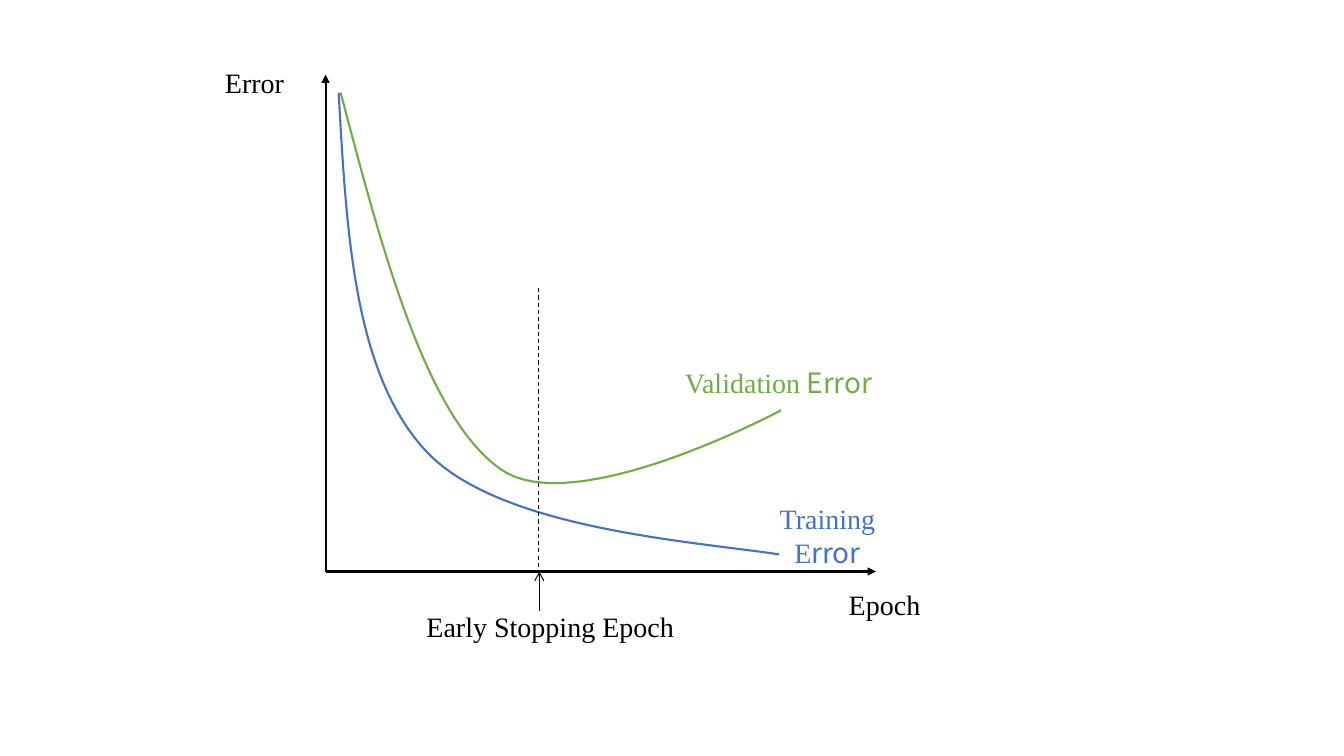
import dataclasses
import typing

import pptx
import pptx.dml.color
import pptx.enum.dml
import pptx.enum.shapes
import pptx.enum.text
import pptx.oxml.ns
import pptx.oxml.xmlchemy
import pptx.util

BLACK = pptx.dml.color.RGBColor(0x00, 0x00, 0x00)
BLUE = pptx.dml.color.RGBColor(0x44, 0x72, 0xC4)
GREEN = pptx.dml.color.RGBColor(0x70, 0xAD, 0x47)
SERIF = "Times New Roman"
SANS = "Noto Sans CJK SC"

# Grid of square cells, ten to the inch
COLS, ROWS = 133.33, 75
CELL = pptx.util.Inches(0.1)
STEPS = 32

Point = tuple[float, float]


def span(cells: float) -> int:
    return round(cells * CELL)


@dataclasses.dataclass
class Line:
    start: Point
    end: Point
    width: float
    head: str = ""
    dash: bool = False


@dataclasses.dataclass
class Curve:
    color: pptx.dml.color.RGBColor
    knots: list[Point]  # start, then two handles and an end per segment


@dataclasses.dataclass
class Label:
    left: float
    top: float
    width: float
    runs: list[tuple[str, str]]  # text and font
    color: pptx.dml.color.RGBColor = BLACK
    wrap: bool = False


ORIGIN = (32.3, 56.7)
AXES = [
    Line(ORIGIN, (86.9, 56.7), 1.5, "triangle"),
    Line(ORIGIN, (32.3, 7.4), 1.5, "triangle"),
]
CURVES = [
    Curve(BLUE, [(33.6, 9.2), (34.4, 23.2), (35.1, 37.2), (42.4, 44.9),
                 (49.7, 52.5), (68.7, 53.7), (77.3, 55)]),
    Curve(GREEN, [(33.8, 9.2), (38, 25.2), (42.3, 41.3), (49.6, 46.5),
                  (56.8, 51.8), (77.5, 40.7), (77.5, 40.7)]),
]
LABELS = [
    Label(83, 57.8, 9.5, [("Epoch", SERIF)]),
    Label(21.3, 6, 7.9, [("Error", SERIF)]),
    Label(73.1, 49.3, 18, [("Training E", SERIF), ("rror", SANS)], BLUE, True),
    Label(66.9, 35.8, 20.7, [("Validation", SERIF), (" Error", SANS)], GREEN),
]
STOP = Line((53.4, 28.6), (53.4, 56.7), 0.75, dash=True)
NOTE = Label(40.8, 60, 27.6, [("Early Stopping Epoch", SERIF)])
ARROW = Line((53.5, 60.6), (53.5, 56.7), 0.75, "arrow")


def draw_line(shapes: typing.Any, item: Line) -> None:
    link = shapes.add_connector(
        pptx.enum.shapes.MSO_CONNECTOR.STRAIGHT,
        *map(span, item.start + item.end))
    link.line.color.rgb = BLACK
    link.line.width = pptx.util.Pt(item.width)
    if item.dash:
        link.line.dash_style = pptx.enum.dml.MSO_LINE.DASH
    if item.head:
        tail = pptx.oxml.xmlchemy.OxmlElement("a:tailEnd")
        tail.set("type", item.head)
        link.get_or_add_ln().append(tail)
    props = link.element.find(pptx.oxml.ns.qn("p:spPr"))
    props.append(pptx.oxml.xmlchemy.OxmlElement("a:effectLst"))


def trace(knots: list[Point]) -> list[Point]:
    """Sample the cubic segments that run through the knots."""
    points = [knots[0]]
    for first in range(0, len(knots) - 1, 3):
        part = knots[first:first + 4]
        for step in range(1, STEPS + 1):
            t = step / STEPS
            s = 1 - t
            shares = (s ** 3, 3 * s * s * t, 3 * s * t * t, t ** 3)
            points.append((sum(k * p[0] for k, p in zip(shares, part)),
                           sum(k * p[1] for k, p in zip(shares, part))))
    return points


def draw_curve(shapes: typing.Any, item: Curve) -> None:
    points = [(span(x), span(y)) for x, y in trace(item.knots)]
    pen = shapes.build_freeform(*points[0])
    pen.add_line_segments(points[1:], close=False)
    shape = pen.convert_to_shape()
    shape.shadow.inherit = False
    shape.fill.background()
    shape.line.color.rgb = item.color
    shape.line.width = pptx.util.Pt(1.5)


def draw_label(shapes: typing.Any, item: Label) -> None:
    box = shapes.add_textbox(
        *map(span, (item.left, item.top, item.width, 4.4)))
    frame = box.text_frame
    frame.word_wrap = item.wrap
    frame.auto_size = pptx.enum.text.MSO_AUTO_SIZE.SHAPE_TO_FIT_TEXT
    para = frame.paragraphs[0]
    para.alignment = pptx.enum.text.PP_ALIGN.CENTER
    for text, font in item.runs:
        run = para.add_run()
        run.text = text
        run.font.name = font
        run.font.size = pptx.util.Pt(20)
        run.font.color.rgb = item.color


def main() -> None:
    deck = pptx.Presentation()
    deck.slide_width, deck.slide_height = span(COLS), span(ROWS)
    slide = deck.slides.add_slide(deck.slide_layouts[6])
    shapes = slide.shapes.add_group_shape().shapes

    # Axes and error curves
    for axis in AXES:
        draw_line(shapes, axis)
    for curve in CURVES:
        draw_curve(shapes, curve)
    for label in LABELS:
        draw_label(shapes, label)

    # Early stopping mark
    draw_line(shapes, STOP)
    draw_label(shapes, NOTE)
    draw_line(shapes, ARROW)

    deck.save("out.pptx")


if __name__ == "__main__":
    main()
